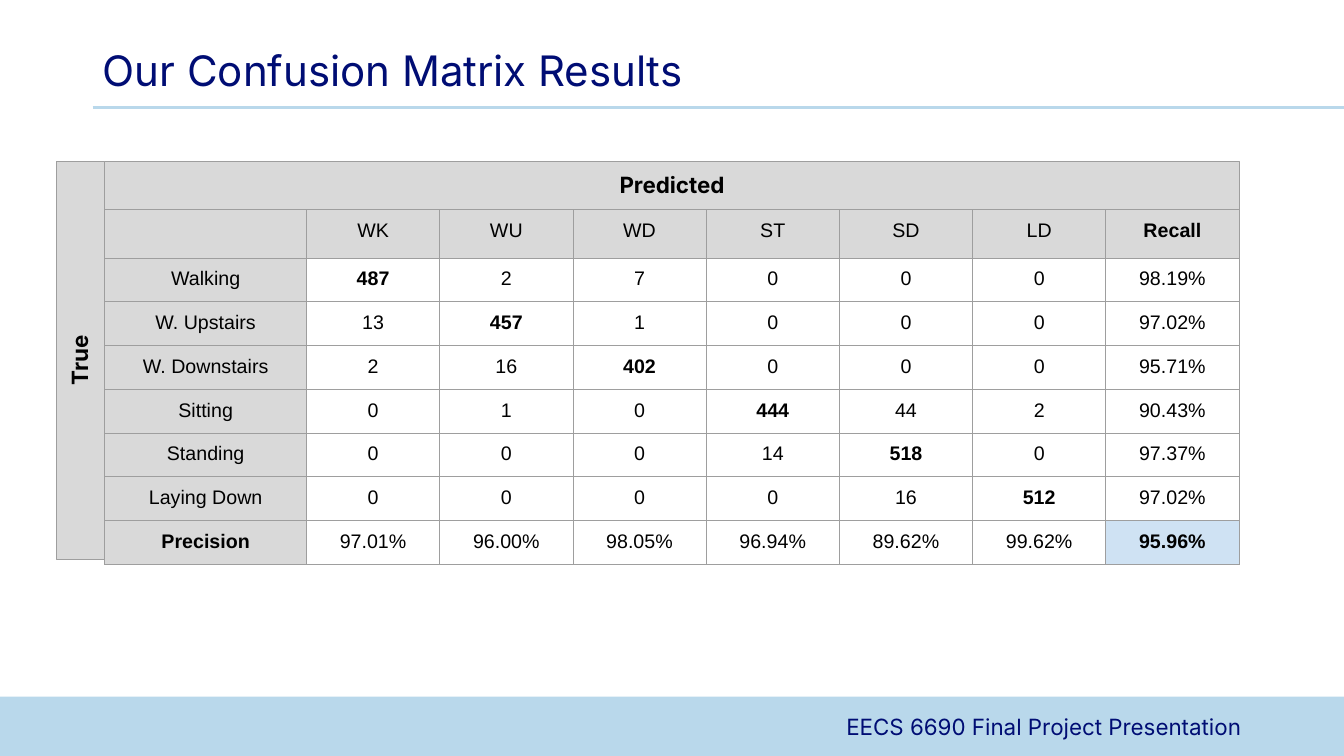
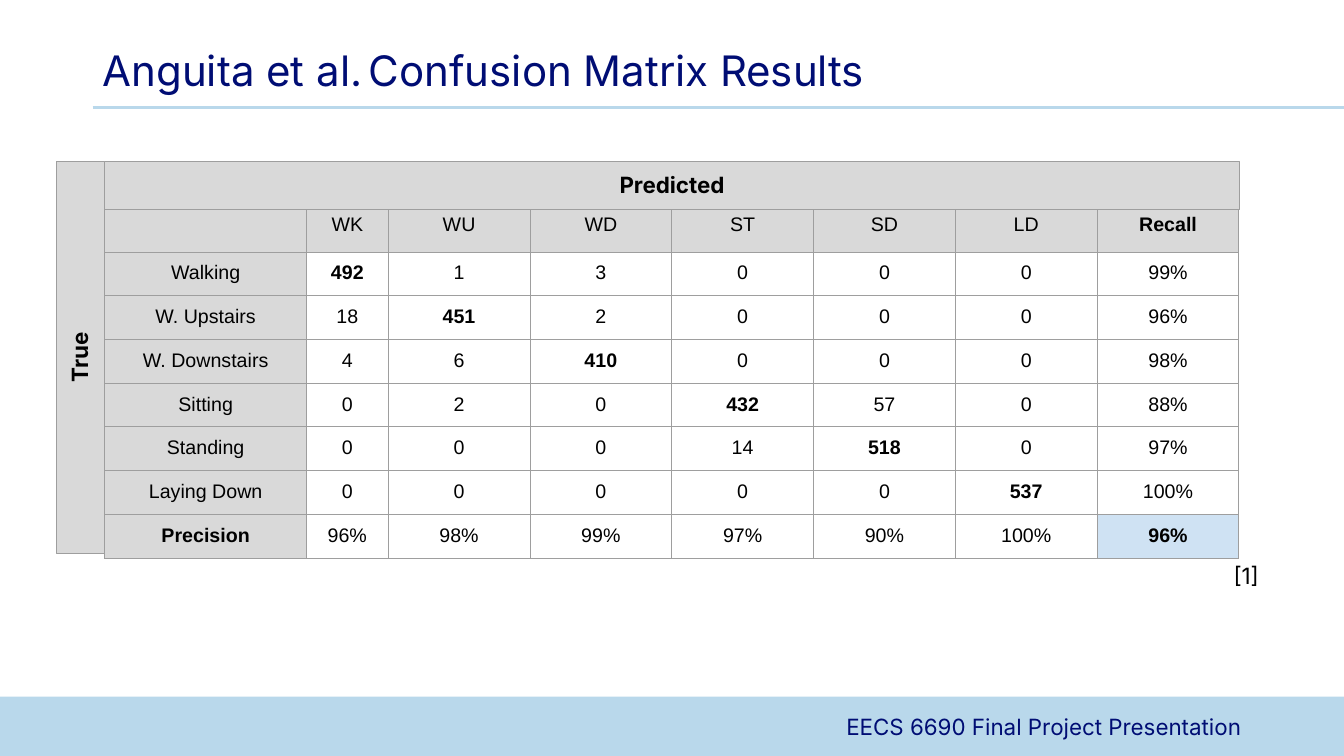
from lxml.etree import SubElement
from pptx import Presentation
from pptx.dml.color import RGBColor
from pptx.enum.shapes import MSO_CONNECTOR, MSO_SHAPE
from pptx.enum.text import MSO_ANCHOR as Anchor, PP_ALIGN as Align
from pptx.oxml import parse_xml
from pptx.oxml.ns import nsdecls, qn
from pptx.util import Inches, Pt

# Shared look
NAVY, SKY, BLACK, WHITE = "000D74", "B9D8EB", "000000", "FFFFFF"
GREY, BORDER, HIGHLIGHT = "D9D9D9", "9E9E9E", "CFE2F3"
TITLE_FONT, TABLE_FONT = "Inter", "Arial"
BORDER_WIDTH = Pt(0.75)

# Shared measures in inches
SLIDE_WIDTH, SLIDE_HEIGHT = 13.33, 7.5
RULE_LEFT, RULE_TOP = 0.92, 1.07
FOOTER_TOP = 6.91
MATRIX_LEFT, MATRIX_TOP, MATRIX_WIDTH = 1.04, 1.6, 11.25
BAR_SIZE = 0.48
LABEL_WIDTH, HEADER_HEIGHT, ROW_HEIGHT = 2, 0.48, 0.42
OVERHANG = 0.05

# Matrix content
CODES = ["WK", "WU", "WD", "ST", "SD", "LD"]
ACTIVITIES = ["Walking", "W. Upstairs", "W. Downstairs", "Sitting", "Standing", "Laying Down"]
OUR_VALUES = [
    [487, 2, 7, 0, 0, 0, "98.19%"],
    [13, 457, 1, 0, 0, 0, "97.02%"],
    [2, 16, 402, 0, 0, 0, "95.71%"],
    [0, 1, 0, 444, 44, 2, "90.43%"],
    [0, 0, 0, 14, 518, 0, "97.37%"],
    [0, 0, 0, 0, 16, 512, "97.02%"],
    ["97.01%", "96.00%", "98.05%", "96.94%", "89.62%", "99.62%", "95.96%"],
]
ANGUITA_VALUES = [
    [492, 1, 3, 0, 0, 0, "99%"],
    [18, 451, 2, 0, 0, 0, "96%"],
    [4, 6, 410, 0, 0, 0, "98%"],
    [0, 2, 0, 432, 57, 0, "88%"],
    [0, 0, 0, 14, 518, 0, "97%"],
    [0, 0, 0, 0, 0, 537, "100%"],
    ["96%", "98%", "99%", "97%", "90%", "100%", "96%"],
]


def color(value):
    return RGBColor.from_string(value)


def add_run(paragraph, text, size, ink=BLACK, font=TITLE_FONT, bold=False):
    run = paragraph.add_run()
    run.text = text
    run.font.name = font
    run.font.size = Pt(size)
    run.font.bold = bold
    run.font.color.rgb = color(ink)


def set_up_text(frame, align, anchor=Anchor.TOP, margin=0.1, spacing=None):
    """Prepare a text frame and return its first paragraph."""
    frame.word_wrap = True
    frame.vertical_anchor = anchor
    frame.margin_left = frame.margin_right = Inches(0.1)
    frame.margin_top = frame.margin_bottom = Inches(margin)
    paragraph = frame.paragraphs[0]
    paragraph.alignment = align
    paragraph.line_spacing = spacing
    return paragraph


def add_text(slide, left, top, width, height, runs, align, **setup):
    box = slide.shapes.add_textbox(Inches(left), Inches(top), Inches(width), Inches(height))
    paragraph = set_up_text(box.text_frame, align, **setup)
    for text, size, ink in runs:
        add_run(paragraph, text, size, ink)


def add_rectangle(slide, left, top, width, height, fill):
    shape = slide.shapes.add_shape(
        MSO_SHAPE.RECTANGLE, Inches(left), Inches(top), Inches(width), Inches(height))
    shape.shadow.inherit = False
    shape.fill.solid()
    shape.fill.fore_color.rgb = color(fill)
    shape.line.fill.background()
    return shape


def add_axis_bar(slide, left, top, length, label, rotation=0):
    shape = add_rectangle(slide, left, top, length, BAR_SIZE, GREY)
    shape.line.color.rgb = color(BORDER)
    shape.line.width = BORDER_WIDTH
    shape.rotation = rotation
    add_run(set_up_text(shape.text_frame, Align.CENTER), label, 16, bold=True)


def add_frame(slide, title_runs):
    """Footer band, title and the rule below the title."""
    add_rectangle(slide, 0, FOOTER_TOP, SLIDE_WIDTH, SLIDE_HEIGHT - FOOTER_TOP, SKY)
    rule = slide.shapes.add_connector(
        MSO_CONNECTOR.STRAIGHT, Inches(RULE_LEFT), Inches(RULE_TOP),
        Inches(SLIDE_WIDTH), Inches(RULE_TOP))
    rule.line.color.rgb = color(SKY)
    rule.line.width = Pt(2.25)
    SubElement(rule._element.spPr, qn("a:effectLst"))
    add_text(slide, RULE_LEFT, 0, SLIDE_WIDTH - RULE_LEFT, 1, title_runs, Align.LEFT,
             anchor=Anchor.BOTTOM, margin=0.05, spacing=0.9)
    add_text(slide, 5.91, 6.95, 6.5, 0.55,
             [("EECS 6690 Final Project Presentation", 16, NAVY)], Align.RIGHT,
             anchor=Anchor.MIDDLE, spacing=0.9)


def add_borders(cell):
    properties = cell._tc.get_or_add_tcPr()
    for position, side in enumerate(("lnL", "lnR", "lnT", "lnB")):
        properties.insert(position, parse_xml(
            f'<a:{side} {nsdecls("a")} w="{BORDER_WIDTH}"><a:solidFill>'
            f'<a:srgbClr val="{BORDER}"/></a:solidFill></a:{side}>'))


def fill_cell(cell, text, fill, bold):
    cell.fill.solid()
    cell.fill.fore_color.rgb = color(fill)
    add_borders(cell)
    cell.margin_left = cell.margin_right = Inches(0.1)
    # The empty corner needs less padding to keep the header height
    cell.margin_top = cell.margin_bottom = Inches(0.1 if text else 0.05)
    if text:
        paragraph = cell.text_frame.paragraphs[0]
        paragraph.alignment = Align.CENTER
        add_run(paragraph, text, 14, font=TABLE_FONT, bold=bold)


def add_matrix(slide, top, values, first_width=None):
    """Confusion matrix; the columns after the fixed ones share the width evenly."""
    header = ["", *CODES, "Recall"]
    labels = [*ACTIVITIES, "Precision"]
    rows = [header] + [[label, *map(str, row)] for label, row in zip(labels, values)]
    last = len(header) - 1
    fixed = [LABEL_WIDTH] + ([first_width] if first_width else [])
    shared = len(header) - len(fixed)
    widths = fixed + [(MATRIX_WIDTH - sum(fixed)) / shared] * shared
    heights = [HEADER_HEIGHT] + [ROW_HEIGHT] * len(labels)

    table = slide.shapes.add_table(
        len(rows), len(header), Inches(MATRIX_LEFT), Inches(top),
        Inches(MATRIX_WIDTH), Inches(sum(heights))).table
    table.first_row = table.horz_banding = False
    for column, width in zip(table.columns, widths):
        column.width = Inches(width)
    for row, height in zip(table.rows, heights):
        row.height = Inches(height)
    for i, row in enumerate(rows):
        for j, text in enumerate(row):
            fill = GREY if 0 in (i, j) else HIGHLIGHT if i == j == last else WHITE
            bold = i == j or (i, j) in ((0, last), (last, 0))
            fill_cell(table.cell(i, j), text, fill, bold)

    # Axis bars: the vertical one is a horizontal bar turned about its centre
    add_axis_bar(slide, MATRIX_LEFT, MATRIX_TOP, MATRIX_WIDTH, "Predicted")
    length = top + sum(heights) + OVERHANG - MATRIX_TOP
    center_x = MATRIX_LEFT - BAR_SIZE / 2
    center_y = MATRIX_TOP + length / 2
    add_axis_bar(slide, center_x - length / 2, center_y - BAR_SIZE / 2, length, "True", 270)


def main():
    presentation = Presentation()
    presentation.slide_width = Inches(SLIDE_WIDTH)
    presentation.slide_height = Inches(SLIDE_HEIGHT)
    blank = presentation.slide_layouts[6]

    # Our results
    slide = presentation.slides.add_slide(blank)
    add_frame(slide, [("Our Confusion Matrix Results", 30, NAVY)])
    add_matrix(slide, 2.08, OUR_VALUES)

    # Published results
    slide = presentation.slides.add_slide(blank)
    add_frame(slide, [("Anguita et al.", 30, NAVY), (" ", 16, BLACK),
                      ("Confusion Matrix Results", 30, NAVY)])
    add_matrix(slide, 2.02, ANGUITA_VALUES, first_width=0.81)
    add_text(slide, 12, 5.48, 0.72, 0.64, [("[1]", 16, BLACK)], Align.CENTER)

    presentation.save("out.pptx")


if __name__ == "__main__":
    main()
